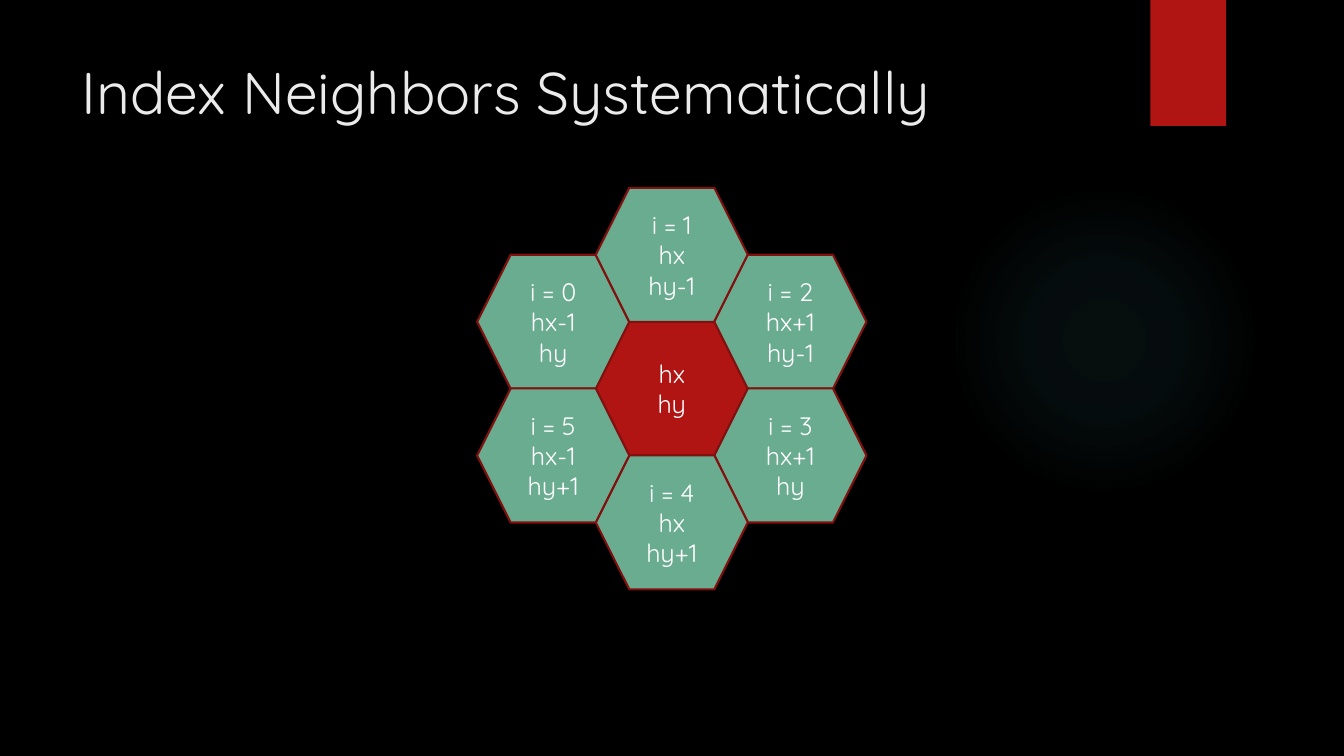
from lxml.etree import SubElement
from pptx import Presentation
from pptx.dml.color import RGBColor
from pptx.enum.shapes import MSO_SHAPE
from pptx.enum.text import MSO_ANCHOR, PP_ALIGN
from pptx.oxml import parse_xml
from pptx.oxml.ns import nsdecls, qn
from pptx.util import Pt

BLACK = RGBColor(0x00, 0x00, 0x00)
WHITE = RGBColor(0xFF, 0xFF, 0xFF)
PALE = RGBColor(0xEB, 0xEB, 0xEB)
RED = RGBColor(0xB0, 0x15, 0x13)
DARK_RED = RGBColor(0x82, 0x10, 0x0E)
GREEN = RGBColor(0x6A, 0xAC, 0x90)
TEAL = RGBColor(0x50, 0xB9, 0xC1)

FONT = "Quicksand"
HEX_W, HEX_H = 108.7, 95.8
CENTER_X, CENTER_Y = 425.5, 229.7
COLUMN_STEP, ROW_STEP = 84.7, 95.5
# Offsets (dx, dy) of neighbors 0 to 5, clockwise from the upper left
NEIGHBORS = [(-1, 0), (0, -1), (1, -1), (1, 0), (0, 1), (-1, 1)]


def add_text(tf, lines, size, color, align):
    for i, line in enumerate(lines):
        p = tf.paragraphs[0] if i == 0 else tf.add_paragraph()
        p.alignment = align
        r = p.add_run()
        r.text = line
        r.font.name, r.font.size = FONT, Pt(size)
        r.font.color.rgb = color


def add_shape(s, kind, x, y, w, h, fill=None, line=None):
    sp = s.shapes.add_shape(kind, Pt(x), Pt(y), Pt(w), Pt(h))
    sp.shadow.inherit = False
    if fill is not None:
        sp.fill.solid()
        sp.fill.fore_color.rgb = fill
    if line is None:
        sp.line.fill.background()
    else:
        sp.line.color.rgb = line
        sp.line.width = Pt(1.5)
    return sp


def add_glow(s, x, y, size, color, stops):
    sp = add_shape(s, MSO_SHAPE.OVAL, x, y, size, size)
    gs = "".join(
        f'<a:gs pos="{pos * 1000}"><a:srgbClr val="{color}">'
        f'<a:alpha val="{alpha * 1000}"/></a:srgbClr></a:gs>'
        for pos, alpha in stops)
    grad = parse_xml(
        f'<a:gradFill {nsdecls("a")}><a:gsLst>{gs}</a:gsLst><a:path path="circle">'
        '<a:fillToRect l="50000" t="50000" r="50000" b="50000"/></a:path></a:gradFill>')
    sp._element.spPr.find(qn("a:prstGeom")).addnext(grad)


def add_soft_shadow(sp):
    effects = sp._element.spPr.find(qn("a:effectLst"))
    shadow = SubElement(effects, qn("a:outerShdw"), blurRad=str(Pt(3)),
                        dist=str(Pt(2)), dir="5400000", rotWithShape="0")
    color = SubElement(shadow, qn("a:srgbClr"), val=str(BLACK))
    SubElement(color, qn("a:alpha"), val="45000")


def add_title(s, text):
    title = s.shapes.title
    title.left, title.top = Pt(51), Pt(36)
    title.width, title.height = Pt(741), Pt(110)
    title.text_frame.vertical_anchor = MSO_ANCHOR.TOP
    add_text(title.text_frame, [text], 42, PALE, PP_ALIGN.LEFT)


def add_hexagon(s, dx, dy, lines, fill):
    x = CENTER_X + dx * COLUMN_STEP
    y = CENTER_Y + (dy + dx / 2) * ROW_STEP
    sp = add_shape(s, MSO_SHAPE.HEXAGON, x, y, HEX_W, HEX_H, fill, DARK_RED)
    sp.text_frame.vertical_anchor = MSO_ANCHOR.MIDDLE
    add_text(sp.text_frame, lines, 18, WHITE, PP_ALIGN.CENTER)


def coordinate(name, offset):
    return f"{name}{offset:+d}" if offset else name


def main():
    prs = Presentation()
    prs.slide_width, prs.slide_height = Pt(960), Pt(540)
    s = prs.slides.add_slide(prs.slide_layouts[5])
    s.background.fill.solid()
    s.background.fill.fore_color.rgb = BLACK

    # Backdrop: faint glow and red tab
    add_glow(s, 677.5, 131.8, 221.8, TEAL, [(0, 7), (36, 6), (69, 0)])
    tab = add_shape(s, MSO_SHAPE.RECTANGLE, 821.8, 0, 54, 90, RED)
    add_soft_shadow(tab)

    add_title(s, "Index Neighbors Systematically")

    # Center cell and its six neighbors
    add_hexagon(s, 0, 0, ["hx", "hy"], RED)
    for i, (dx, dy) in enumerate(NEIGHBORS):
        lines = [f"i = {i}", coordinate("hx", dx), coordinate("hy", dy)]
        add_hexagon(s, dx, dy, lines, GREEN)

    prs.save("out.pptx")


if __name__ == "__main__":
    main()
